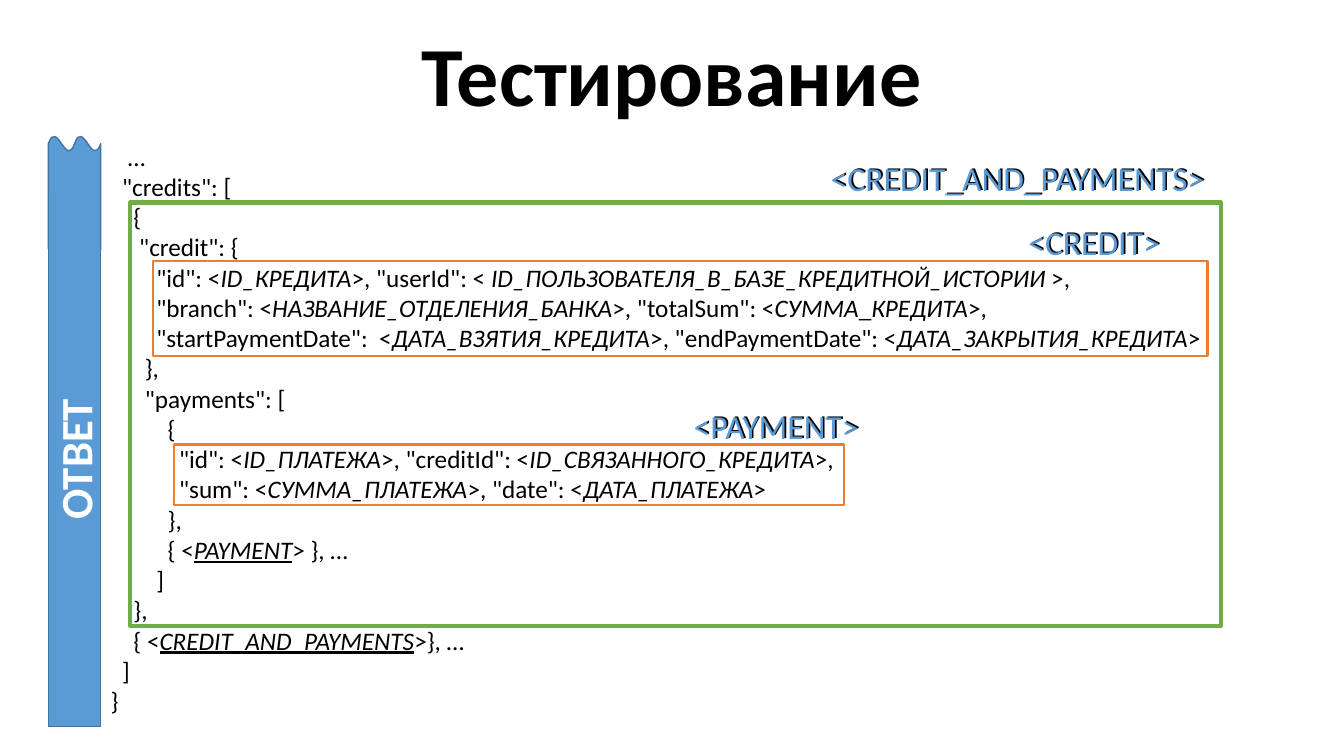
from dataclasses import dataclass

import pptx
import pptx.dml.color
import pptx.enum.shapes
import pptx.enum.text
import pptx.oxml.ns
import pptx.shapes.base
import pptx.slide
import pptx.text.text
import pptx.util

COLORS = {
    "black": "000000",
    "white": "FFFFFF",
    "blue": "5B9BD5",
    "navy": "43739E",
    "orange": "ED7D31",
    "green": "70AD47",
}
FONT = "Calibri"
COLUMNS, ROWS = 160, 90
SLIDE_WIDTH, SLIDE_HEIGHT = pptx.util.Inches(13.33), pptx.util.Inches(7.5)
INDENT_STEP = pptx.util.Pt(4.07)


@dataclass(frozen=True)
class Area:
    column: float
    row: float
    columns: float
    rows: float

    def box(self) -> tuple[int, int, int, int]:
        return (
            across(self.column),
            down(self.row),
            across(self.columns),
            down(self.rows),
        )


@dataclass(frozen=True)
class CodeLine:
    indent: int
    text: str
    underlined: bool = False


@dataclass(frozen=True)
class Frame:
    area: Area
    color: str
    weight: float


@dataclass(frozen=True)
class Label:
    text: str
    area: Area


TITLE = Area(12, 2.04, 136, 13.32)
CODE = Area(12, 16.2, 145, 70.3)
BAR_WAVE = Area(5.76, 16.2, 6.24, 14.28)
BAR_BODY = Area(5.76, 22.8, 6.24, 63.72)

CODE_LINES = [
    CodeLine(3, "…"),
    CodeLine(2, '"credits": ['),
    CodeLine(4, "{"),
    CodeLine(5, '"credit": {'),
    CodeLine(8, '"id": <*ID_КРЕДИТА*>, "userId": < *ID_ПОЛЬЗОВАТЕЛЯ_В_БАЗЕ_КРЕДИТНОЙ_ИСТОРИИ *>,'),
    CodeLine(8, '"branch": <*НАЗВАНИЕ_ОТДЕЛЕНИЯ_БАНКА*>, "totalSum": <*СУММА*_*КРЕДИТА*>,'),
    CodeLine(8, '"startPaymentDate":  <*ДАТА_ВЗЯТИЯ_КРЕДИТА*>, "endPaymentDate": <*ДАТА_ЗАКРЫТИЯ_КРЕДИТА*>'),
    CodeLine(6, "},"),
    CodeLine(6, '"payments": ['),
    CodeLine(10, "{"),
    CodeLine(12, '"id": <*ID_ПЛАТЕЖА*>, "creditId": <*ID_СВЯЗАННОГО_КРЕДИТА*>,'),
    CodeLine(12, '"sum": <*СУММА_ПЛАТЕЖА*>, "date": <*ДАТА_ПЛАТЕЖА*>'),
    CodeLine(10, "},"),
    CodeLine(10, "{ <*PAYMENT*> }, …", True),
    CodeLine(8, "]"),
    CodeLine(4, "},"),
    CodeLine(4, "{ <*CREDIT_AND_PAYMENTS*>}, …", True),
    CodeLine(2, "]"),
    CodeLine(0, "}"),
]

FRAMES = [
    Frame(Area(18.24, 31.08, 125.52, 11.28), "orange", 1.5),
    Frame(Area(20.76, 52.92, 79.68, 7.2), "orange", 1.5),
    Frame(Area(15.48, 24.12, 129.84, 50.4), "green", 3),
]

LABELS = [
    Label("<PAYMENT>", Area(81.6, 47.64, 22.32, 6)),
    Label("<CREDIT>", Area(121.44, 25.68, 18.24, 6)),
    Label("<CREDIT_AND_PAYMENTS>", Area(97.92, 18.12, 47.4, 6)),
]


def across(columns: float) -> int:
    return round(SLIDE_WIDTH * columns / COLUMNS)


def down(rows: float) -> int:
    return round(SLIDE_HEIGHT * rows / ROWS)


def rgb(color: str) -> pptx.dml.color.RGBColor:
    return pptx.dml.color.RGBColor.from_string(COLORS[color])


def set_font(
    paragraph: pptx.text.text._Paragraph, size: float, color: str, bold: bool = False
) -> None:
    paragraph.font.name = FONT
    paragraph.font.size = pptx.util.Pt(size)
    paragraph.font.bold = bold
    paragraph.font.color.rgb = rgb(color)


def outline(shape: pptx.shapes.base.BaseShape, color: str, weight: float) -> None:
    shape.shadow.inherit = False
    shape.line.color.rgb = rgb(color)
    shape.line.width = pptx.util.Pt(weight)


def paint_bar(shape: pptx.shapes.base.BaseShape) -> None:
    shape.fill.solid()
    shape.fill.fore_color.rgb = rgb("blue")
    outline(shape, "navy", 1)


def draw_title(slide: pptx.slide.Slide) -> None:
    frame = slide.shapes.add_textbox(*TITLE.box()).text_frame
    frame.word_wrap = True
    frame.vertical_anchor = pptx.enum.text.MSO_ANCHOR.MIDDLE
    heading = frame.paragraphs[0]
    heading.text = "Тестирование"
    heading.alignment = pptx.enum.text.PP_ALIGN.CENTER
    set_font(heading, 60, "black", bold=True)


def draw_code(slide: pptx.slide.Slide) -> None:
    frame = slide.shapes.add_textbox(*CODE.box()).text_frame
    frame.word_wrap = True
    for number, line in enumerate(CODE_LINES):
        paragraph = frame.add_paragraph() if number else frame.paragraphs[0]
        set_font(paragraph, 18, "black")
        properties = paragraph._p.get_or_add_pPr()
        properties.set("marL", str(line.indent * INDENT_STEP))
        properties.set("indent", "0")
        for position, part in enumerate(line.text.split("*")):
            run = paragraph.add_run()
            run.text = part
            if position % 2:
                run.font.italic = True
                if line.underlined:
                    run.font.underline = True


def draw_answer_bar(slide: pptx.slide.Slide) -> None:
    wave = slide.shapes.add_shape(
        pptx.enum.shapes.MSO_SHAPE.DOUBLE_WAVE, *BAR_WAVE.box()
    )
    wave.rotation = 180
    paint_bar(wave)

    left, top, width, height = BAR_BODY.box()
    right, bottom = left + width, top + height
    builder = slide.shapes.build_freeform(right, top)
    builder.add_line_segments([(right, bottom), (left, bottom), (left, top)], close=False)
    body = builder.convert_to_shape()
    paint_bar(body)
    frame = body.text_frame
    frame.vertical_anchor = pptx.enum.text.MSO_ANCHOR.MIDDLE
    frame._txBody.find(pptx.oxml.ns.qn("a:bodyPr")).set("vert", "vert270")
    answer = frame.paragraphs[0]
    answer.text = "ОТВЕТ"
    answer.alignment = pptx.enum.text.PP_ALIGN.CENTER
    set_font(answer, 32, "white", bold=True)


def draw_frame(slide: pptx.slide.Slide, frame: Frame) -> None:
    rectangle = slide.shapes.add_shape(
        pptx.enum.shapes.MSO_SHAPE.RECTANGLE, *frame.area.box()
    )
    rectangle.fill.background()
    outline(rectangle, frame.color, frame.weight)


def draw_label(slide: pptx.slide.Slide, label: Label) -> None:
    left, top, width, height = label.area.box()
    for color, shift_x, shift_y in (("black", 0, 0), ("blue", -0.2, 0.15)):
        layer = slide.shapes.add_textbox(
            left + across(shift_x), top + down(shift_y), width, height
        )
        layer.text_frame.word_wrap = False
        caption = layer.text_frame.paragraphs[0]
        caption.text = label.text
        set_font(caption, 24, color)


def main() -> None:
    presentation = pptx.Presentation()
    presentation.slide_width, presentation.slide_height = SLIDE_WIDTH, SLIDE_HEIGHT
    slide = presentation.slides.add_slide(presentation.slide_layouts[6])
    draw_title(slide)
    draw_code(slide)
    draw_answer_bar(slide)
    for frame in FRAMES:
        draw_frame(slide, frame)
    for label in LABELS:
        draw_label(slide, label)
    presentation.save("out.pptx")


if __name__ == "__main__":
    main()
